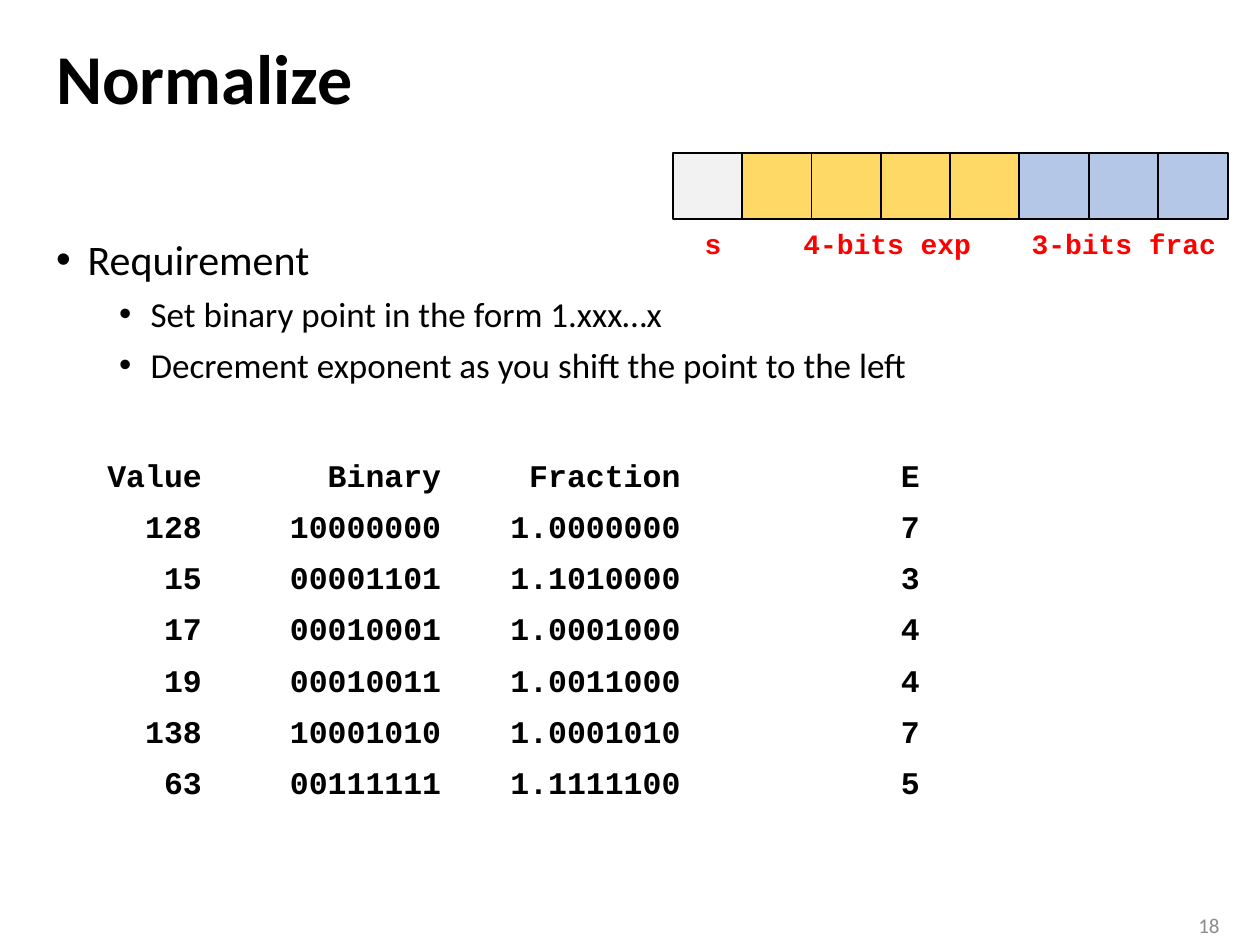
from lxml import etree
from pptx import Presentation
from pptx.dml.color import RGBColor
from pptx.enum.shapes import MSO_SHAPE
from pptx.enum.text import MSO_ANCHOR, PP_ALIGN
from pptx.oxml.ns import qn
from pptx.util import Pt

BLACK = RGBColor(0x00, 0x00, 0x00)
RED = RGBColor(0xFF, 0x00, 0x00)
GRAY = RGBColor(0x8C, 0x8C, 0x8C)
SIGN_FILL = RGBColor(0xF2, 0xF2, 0xF2)
EXP_FILL = RGBColor(0xFF, 0xD9, 0x66)
FRAC_FILL = RGBColor(0xB4, 0xC7, 0xE7)
SANS, MONO = "Calibri", "Courier New"

BULLETS = [
    (0, "Requirement"),
    (1, "Set binary point in the form 1.xxx…x"),
    (1, "Decrement exponent as you shift the point to the left"),
]
ROWS = [
    ("Value", "Binary", "Fraction", "E"),
    ("128", "10000000", "1.0000000", "7"),
    ("15", "00001101", "1.1010000", "3"),
    ("17", "00010001", "1.0001000", "4"),
    ("19", "00010011", "1.0011000", "4"),
    ("138", "10001010", "1.0001010", "7"),
    ("63", "00111111", "1.1111100", "5"),
]


def set_text(p, text, size, font=SANS, color=BLACK, bold=False):
    p.text = text
    f = p.runs[0].font
    f.name, f.size, f.bold = font, Pt(size), bold
    f.color.rgb = color


def add_text_box(s, left, top, width, height, wrap=True):
    tf = s.shapes.add_textbox(Pt(left), Pt(top), Pt(width), Pt(height)).text_frame
    tf.word_wrap = wrap
    return tf


def set_title(s, left, top, width, height):
    sp = s.shapes.title
    sp.left, sp.top, sp.width, sp.height = Pt(left), Pt(top), Pt(width), Pt(height)
    tf = sp.text_frame
    tf.vertical_anchor = MSO_ANCHOR.MIDDLE
    p = tf.paragraphs[0]
    set_text(p, "Normalize", 40, bold=True)
    p.alignment = PP_ALIGN.LEFT
    p.line_spacing = 0.9


def add_bullets(s, left, top, width, height):
    tf = add_text_box(s, left, top, width, height)
    for i, (level, text) in enumerate(BULLETS):
        p = tf.add_paragraph() if i else tf.paragraphs[0]
        set_text(p, text, 20 if level else 24)
        p.level = level
        p.space_before = Pt(5 if level else 0)
        pPr = p._p.get_or_add_pPr()
        pPr.set("marL", str(Pt(18 + 36 * level)))
        pPr.set("indent", str(Pt(-18)))
        etree.SubElement(pPr, qn("a:buFont")).set("typeface", "Arial")
        etree.SubElement(pPr, qn("a:buChar")).set("char", "•")


def add_bit_layout(s, left, top, pitch, height):
    """Row of sign, exponent and fraction bits with labels below."""
    fills = [SIGN_FILL] + [EXP_FILL] * 4 + [FRAC_FILL] * 3
    for i, fill in enumerate(fills):
        sp = s.shapes.add_shape(MSO_SHAPE.RECTANGLE, Pt(left + i * pitch), Pt(top),
                                Pt(pitch + 0.5), Pt(height))
        sp.shadow.inherit = False
        sp.fill.solid()
        sp.fill.fore_color.rgb = fill
        sp.line.color.rgb = BLACK
        sp.line.width = Pt(1)
    labels = [("s", 11, 24), ("4-bits exp", 67.5, 111.5), ("3-bits frac", 198, 121.5)]
    for text, dx, width in labels:
        tf = add_text_box(s, left + dx, top + height + 0.75, width, 26.5, wrap=False)
        set_text(tf.paragraphs[0], text, 16, MONO, RED, True)


def add_value_table(s, left, top, col_widths, row_height):
    table = s.shapes.add_table(len(ROWS), len(col_widths), Pt(left), Pt(top),
                               Pt(sum(col_widths)), Pt(row_height * len(ROWS))).table
    table.first_row = table.horz_banding = False
    for col, width in zip(table.columns, col_widths):
        col.width = Pt(width)
    for r, row in enumerate(ROWS):
        for c, text in enumerate(row):
            cell = table.cell(r, c)
            cell.fill.background()
            p = cell.text_frame.paragraphs[0]
            set_text(p, text, 18, MONO, bold=True)
            p.alignment = PP_ALIGN.RIGHT


def add_page_number(s, left, top, width, height):
    tf = add_text_box(s, left, top, width, height)
    tf.vertical_anchor = MSO_ANCHOR.MIDDLE
    p = tf.paragraphs[0]
    set_text(p, "18", 12, color=GRAY)
    p.alignment = PP_ALIGN.RIGHT


def main():
    prs = Presentation()
    prs.slide_width, prs.slide_height = Pt(720), Pt(540)
    s = prs.slides.add_slide(prs.slide_layouts[5])
    set_title(s, 25, 13.5, 669, 66)
    add_bullets(s, 25, 130, 669, 100)
    add_page_number(s, 667.5, 517.5, 36.5, 22.5)
    add_bit_layout(s, 384.5, 87.25, 39.6, 38)
    add_value_table(s, 50.5, 260, [72, 136.75, 136.75, 136.75], 29.25)
    prs.save("out.pptx")


if __name__ == "__main__":
    main()
